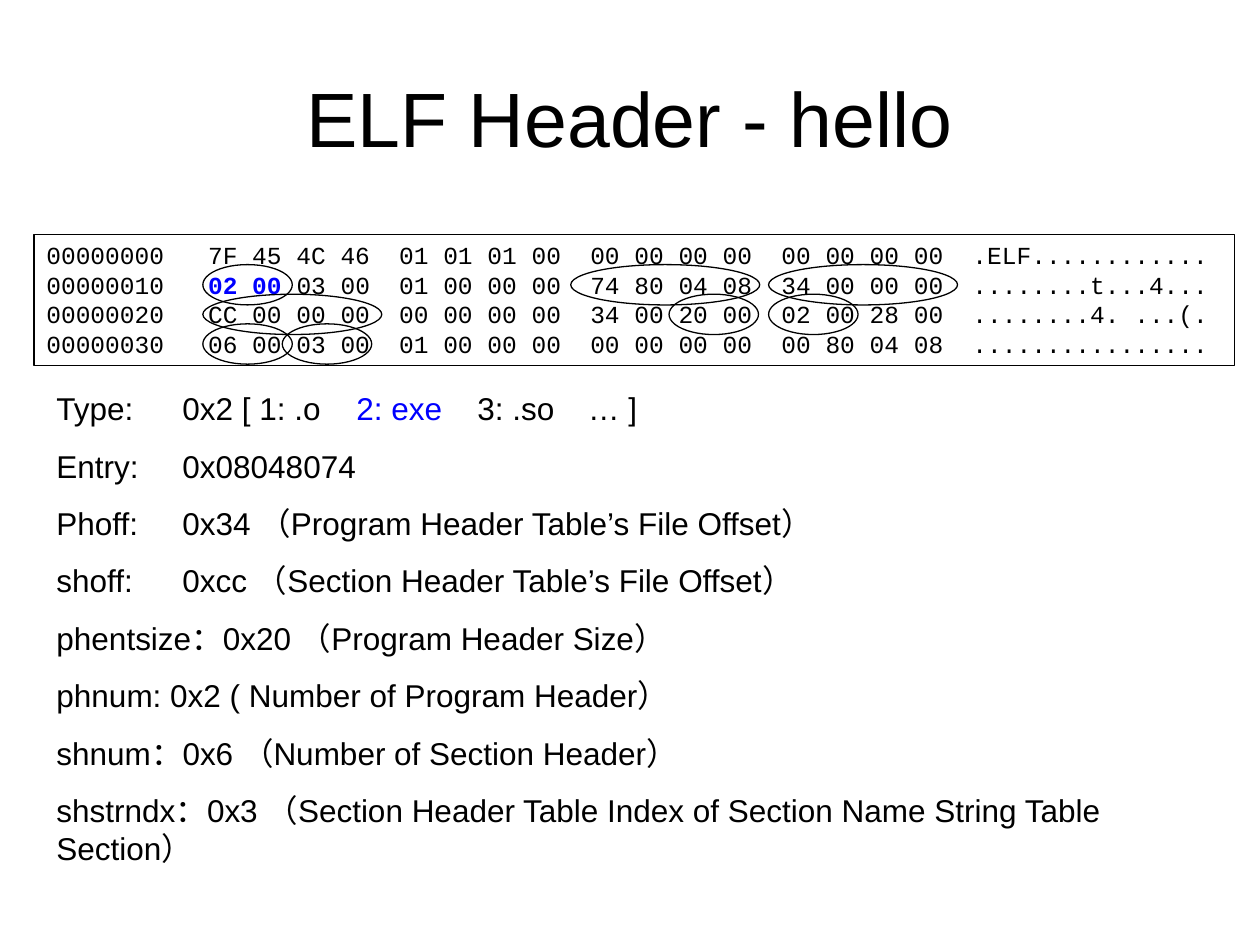
from dataclasses import dataclass

from lxml import etree
from pptx import Presentation
from pptx.dml.color import RGBColor
from pptx.enum.shapes import MSO_SHAPE
from pptx.enum.text import MSO_ANCHOR, MSO_AUTO_SIZE, PP_ALIGN
from pptx.oxml.ns import qn
from pptx.util import Inches, Pt

RECTANGLE, OVAL = MSO_SHAPE.RECTANGLE, MSO_SHAPE.OVAL
LEFT, CENTER = PP_ALIGN.LEFT, PP_ALIGN.CENTER
TOP, MIDDLE = MSO_ANCHOR.TOP, MSO_ANCHOR.MIDDLE
GROW = MSO_AUTO_SIZE.SHAPE_TO_FIT_TEXT


@dataclass(frozen=True)
class Theme:
    """Colours, fonts and type sizes of the slide."""
    ink: RGBColor = RGBColor(0, 0, 0)
    accent: RGBColor = RGBColor(0, 0, 255)
    sans: str = "Arial"
    mono: str = "Courier New"
    title_size: int = 44
    field_size: int = 18
    dump_size: int = 14
    outline: float = 0.75


THEME = Theme()

DUMP_ROWS = [
    ["00000000\t7F 45 4C 46\t01 01 01 00\t00 00 00 00\t00 00 00 00\t.ELF............"],
    ["00000010\t", ("02 00",),
     " 03 00\t01 00 00 00\t74 80 04 08\t34 00 00 00\t........t...4..."],
    ["00000020\tCC 00 00 00\t00 00 00 00\t34 00 20 00\t02 00 28 00\t........4. ...(."],
    ["00000030\t06 00 03 00\t01 00 00 00\t00 00 00 00\t00 80 04 08\t................"],
]
CHARACTER_WIDTH = THEME.dump_size * 0.6 / 72
DUMP_TABS = [CHARACTER_WIDTH * column for column in range(11, 64, 13)]

FIELDS = [
    ["Type:\t0x2 [ 1: .o\t", ("2: exe",), "\t3: .so\t… ]"],
    ["Entry:\t0x08048074"],
    ["Phoff:\t0x34 （Program Header Table’s File Offset）"],
    ["shoff:\t0xcc （Section Header Table’s File Offset）"],
    ["phentsize：0x20 （Program Header Size）"],
    ["phnum: 0x2 ( Number of Program Header）"],
    ["shnum：0x6 （Number of Section Header）"],
    ["shstrndx：0x3 （Section Header Table Index of Section Name String Table Section）"],
]
FIELD_TABS = [1, 2.38, 3.34, 4.22]

HALF_WORD, WORD, WIDE_WORD = 0.71, 1.42, 1.5
RING_TOP, RING_PITCH, RING_HEIGHT = 2.1, 0.235, 0.32
RINGS = [
    (0, 1.61, HALF_WORD), (0, 4.53, WIDE_WORD), (0, 6.1, WIDE_WORD),
    (1, 1.61, WORD), (1, 5.31, HALF_WORD), (1, 6.1, HALF_WORD),
    (2, 1.61, HALF_WORD), (2, 2.24, HALF_WORD),
]


def place(element, left, top, width, height):
    """Set the position and size of an element in inches."""
    element.left, element.top = Inches(left), Inches(top)
    element.width, element.height = Inches(width), Inches(height)


def set_tabs(paragraph, positions):
    """Give a paragraph left tab stops at positions in inches."""
    tab_list = etree.SubElement(paragraph._p.get_or_add_pPr(), qn("a:tabLst"))
    for position in positions:
        etree.SubElement(tab_list, qn("a:tab"), pos=str(Inches(position)), algn="l")


def write(frame, lines, *, font, size, align=LEFT, anchor=TOP, before=0,
          tabs=(), accent_bold=False):
    """Fill a frame with lines of parts; a part in a tuple is accented."""
    frame.word_wrap = True
    frame.vertical_anchor = anchor
    for index, parts in enumerate(lines):
        paragraph = frame.add_paragraph() if index else frame.paragraphs[0]
        paragraph.alignment = align
        paragraph.space_before = Pt(before)
        if tabs:
            set_tabs(paragraph, tabs)
        for part in parts:
            accented = isinstance(part, tuple)
            run = paragraph.add_run()
            run.text = part[0] if accented else part
            run.font.name = font
            run.font.size = Pt(size)
            run.font.bold = accented and accent_bold
            run.font.color.rgb = THEME.accent if accented else THEME.ink


def add_outline(slide, preset, left, top, width, height):
    """Add an unfilled preset shape with a thin line."""
    outline = slide.shapes.add_shape(
        preset, Inches(left), Inches(top), Inches(width), Inches(height))
    outline.shadow.inherit = False
    outline.fill.background()
    outline.line.color.rgb = THEME.ink
    outline.line.width = Pt(THEME.outline)
    return outline


def add_title(slide, text):
    """Place and fill the title placeholder."""
    title = slide.shapes.title
    place(title, 0.5, 0.3, 9, 1.25)
    write(title.text_frame, [[text]], font=THEME.sans, size=THEME.title_size,
          align=CENTER, anchor=MIDDLE)


def add_dump(slide):
    """Add the boxed hex dump."""
    dump = add_outline(slide, RECTANGLE, 0.27, 1.86, 9.53, 1.04)
    write(dump.text_frame, DUMP_ROWS, font=THEME.mono, size=THEME.dump_size,
          tabs=DUMP_TABS, accent_bold=True)
    dump.text_frame.auto_size = GROW


def add_fields(slide):
    """Add the list of decoded header fields."""
    fields = slide.shapes.add_textbox(
        Inches(0.35), Inches(3.04), Inches(9.37), Inches(3.9))
    write(fields.text_frame, FIELDS, font=THEME.sans, size=THEME.field_size,
          before=11.2, tabs=FIELD_TABS)
    fields.text_frame.auto_size = GROW


def add_rings(slide):
    """Ring the bytes of each decoded field."""
    for row, left, width in RINGS:
        add_outline(slide, OVAL, left, RING_TOP + row * RING_PITCH, width, RING_HEIGHT)


def main():
    """Build and save the slide."""
    deck = Presentation()
    deck.slide_width, deck.slide_height = Inches(10), Inches(7.5)
    slide = deck.slides.add_slide(deck.slide_layouts.get_by_name("Title Only"))
    add_title(slide, "ELF Header - hello")
    add_dump(slide)
    add_fields(slide)
    add_rings(slide)
    deck.save("out.pptx")


if __name__ == "__main__":
    main()
